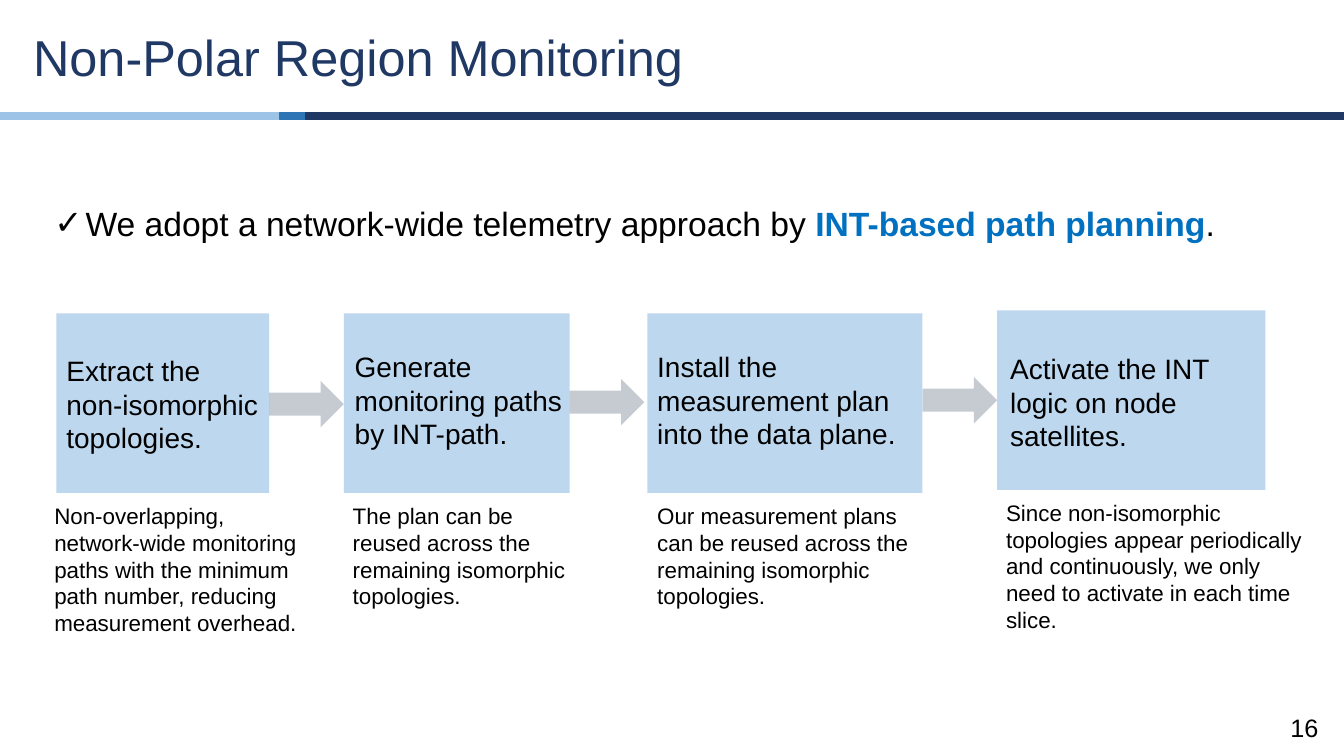
import pptx
import pptx.util
import pptx.dml.color
import pptx.enum.shapes
import pptx.oxml
import pptx.oxml.ns
from lxml import etree

RGB = pptx.dml.color.RGBColor
SHAPE = pptx.enum.shapes.MSO_SHAPE
Inches, Pt = pptx.util.Inches, pptx.util.Pt

# Content
TITLE = "Non-Polar Region Monitoring"
PAGE = "16"
BULLET = "✓"
LEAD = ("We adopt a network-wide telemetry approach by ",
        "INT-based path planning", ".")
# heading, caption
STEPS = [
    ("Extract the non-isomorphic topologies.",
     "Non-overlapping, network-wide monitoring paths with the minimum "
     "path number, reducing measurement overhead."),
    ("Generate monitoring paths by INT-path.",
     "The plan can be reused across the remaining isomorphic topologies."),
    ("Install the measurement plan into the data plane.",
     "Our measurement plans can be reused across the remaining "
     "isomorphic topologies."),
    ("Activate the INT logic on node satellites.",
     "Since non-isomorphic topologies appear periodically and continuously, "
     "we only need to activate in each time slice."),
]

# Colours
BLACK = RGB(0x00, 0x00, 0x00)
NAVY = RGB(0x20, 0x38, 0x64)
BLUE = RGB(0x2E, 0x75, 0xB6)
SKY = RGB(0x9D, 0xC3, 0xE6)
PALE = RGB(0xBD, 0xD7, 0xEE)
SLATE = RGB(0x44, 0x54, 0x6A)
ACCENT = RGB(0x00, 0x70, 0xC0)

# Grid, in inches
WIDTH, HEIGHT = 13.33, 7.5
BOX_H = 1.78
ARROW_W, ARROW_H = 0.74, 0.46
CAPTION_GAP = 0.04
RULE_TOP, RULE_H = 1.12, 0.06
RULE = [(0, SKY), (2.77, BLUE), (3.03, NAVY)]
# box (left, top, width), heading (left, top, width), caption (left, width)
COLUMNS = [
    ((0.56, 3.11, 2.11), (0.56, 3.46, 2.11), (0.44, 2.67)),
    ((3.41, 3.11, 2.24), (3.42, 3.42, 2.53), (3.40, 2.33)),
    ((6.42, 3.11, 2.73), (6.42, 3.42, 2.68), (6.42, 2.73)),
    ((9.89, 3.08, 2.66), (9.92, 3.44, 2.66), (9.88, 3.19)),
]


def add_block(s, kind, left, top, width, height, color, outlined=False):
    sp = s.shapes.add_shape(kind, Inches(left), Inches(top),
                            Inches(width), Inches(height))
    sp.shadow.inherit = False
    sp.fill.solid()
    sp.fill.fore_color.rgb = color
    if outlined:
        sp.line.color.rgb = color
        sp.line.width = Pt(1)
    else:
        sp.line.fill.background()
    return sp


def add_text(s, left, top, width, height, runs, size, after=0):
    """Each run is (text, colour, bold)."""
    sp = s.shapes.add_textbox(Inches(left), Inches(top),
                              Inches(width), Inches(height))
    tf = sp.text_frame
    tf.word_wrap = True
    tf.margin_right = Inches(0.08)
    p = tf.paragraphs[0]
    p.space_after = Pt(after)
    for text, color, bold in runs:
        r = p.add_run()
        r.text = text
        r.font.name = "Arial"
        r.font.size = Pt(size)
        r.font.bold = bold
        r.font.color.rgb = color
    return p


def set_bullet(p, char, indent):
    pPr = p._p.get_or_add_pPr()
    pPr.set("marL", str(Inches(indent)))
    pPr.set("indent", str(-Inches(indent)))
    etree.SubElement(pPr, pptx.oxml.ns.qn("a:buFont")).set("typeface", "Arial")
    etree.SubElement(pPr, pptx.oxml.ns.qn("a:buChar")).set("char", char)


def set_alpha(sp, percent):
    clr = sp.fill._xPr.find(".//" + pptx.oxml.ns.qn("a:srgbClr"))
    alpha = etree.SubElement(clr, pptx.oxml.ns.qn("a:alpha"))
    alpha.set("val", str(percent * 1000))


def main():
    prs = pptx.Presentation()
    prs.slide_width, prs.slide_height = Inches(WIDTH), Inches(HEIGHT)
    s = prs.slides.add_slide(prs.slide_layouts[6])

    # Title, rule and page number
    add_text(s, 0.23, 0.21, 12.47, 0.71, [(TITLE, NAVY, False)], 36)
    ends = [left for left, _ in RULE[1:]] + [WIDTH]
    for (left, color), end in zip(RULE, ends):
        add_block(s, SHAPE.RECTANGLE, left, RULE_TOP, end - left, RULE_H,
                  color, outlined=True)
    add_text(s, 12.7, 7.02, 0.49, 0.33, [(PAGE, BLACK, False)], 18)

    # Lead sentence
    before, key, after = LEAD
    p = add_text(s, 0.44, 1.96, 11.91, 0.5,
                 [(before, BLACK, False), (key, ACCENT, True),
                  (after, BLACK, False)], 24, after=6)
    p.space_before = Pt(6)
    set_bullet(p, BULLET, 0.31)

    # Steps: box, heading and caption, with an arrow to the next box
    for i, ((heading, caption), (box, head, note)) in enumerate(
            zip(STEPS, COLUMNS)):
        left, top, width = box
        add_block(s, SHAPE.RECTANGLE, left, top, width, BOX_H, PALE)
        add_text(s, *head, 1.11, [(heading, BLACK, False)], 20, after=6)
        add_text(s, note[0], top + BOX_H + CAPTION_GAP, note[1], 1.45,
                 [(caption, BLACK, False)], 16, after=6)
        if i < len(STEPS) - 1:
            arrow = add_block(s, SHAPE.RIGHT_ARROW, left + width,
                              3.78 - 0.02 * i, ARROW_W, ARROW_H, SLATE)
            set_alpha(arrow, 30)

    prs.save("out.pptx")


if __name__ == "__main__":
    main()
